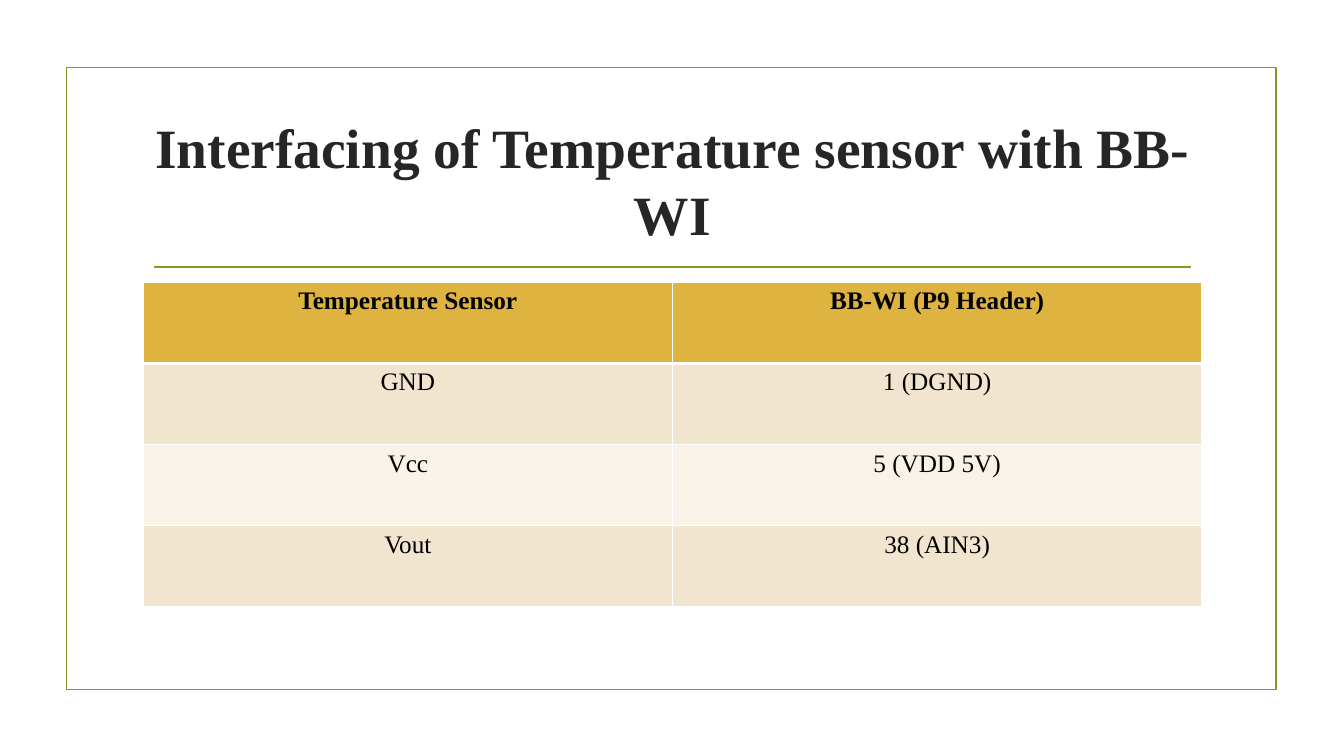
from lxml import etree
from pptx import Presentation
from pptx.dml.color import RGBColor
from pptx.enum.shapes import MSO_CONNECTOR, MSO_SHAPE
from pptx.enum.text import MSO_ANCHOR, PP_ALIGN
from pptx.oxml.ns import qn
from pptx.util import Inches, Pt

CENTER = PP_ALIGN.CENTER
MIDDLE = MSO_ANCHOR.MIDDLE
RECTANGLE = MSO_SHAPE.RECTANGLE
STRAIGHT = MSO_CONNECTOR.STRAIGHT

COLORS = {
    "olive": "83992A",
    "title": "262626",
    "text": "000000",
    "border": "FFFFFF",
    "header": "DEB340",
    "odd_row": "F2E5CF",
    "even_row": "F9F2E8",
}
FONT = "Times New Roman"
SLIDE_WIDTH, SLIDE_HEIGHT = 13.33, 7.5
CONTENT_LEFT, CONTENT_WIDTH = 1.42, 10.5
ROW_HEIGHT = 0.805
PIN_ROWS = [
    ("Temperature Sensor", "BB-WI (P9 Header)"),
    ("GND", "1 (DGND)"),
    ("Vcc", "5 (VDD 5V)"),
    ("Vout", "38 (AIN3)"),
]


def color(name):
    return RGBColor.from_string(COLORS[name])


def write_text(text_frame, text, size, color_name="text", bold=False):
    paragraph = text_frame.paragraphs[0]
    paragraph.alignment = CENTER
    run = paragraph.add_run()
    run.text = text
    run.font.name = FONT
    run.font.size = Pt(size)
    run.font.bold = bold
    run.font.color.rgb = color(color_name)


def style_line(line):
    line.color.rgb = color("olive")
    line.width = Pt(1.25)


def add_frame(slide, left, top, width, height):
    frame = slide.shapes.add_shape(
        RECTANGLE, Inches(left), Inches(top), Inches(width), Inches(height))
    frame.shadow.inherit = False
    frame.fill.background()
    style_line(frame.line)


def add_rule(slide, left, right, top):
    rule = slide.shapes.add_connector(
        STRAIGHT, Inches(left), Inches(top), Inches(right), Inches(top))
    style_line(rule.line)
    etree.SubElement(rule.element.spPr, qn("a:effectLst"))


def add_title(slide, text, top, height):
    box = slide.shapes.add_textbox(
        Inches(CONTENT_LEFT), Inches(top), Inches(CONTENT_WIDTH), Inches(height))
    box.text_frame.word_wrap = True
    box.text_frame.vertical_anchor = MIDDLE
    write_text(box.text_frame, text, 39.6, "title", bold=True)


def set_borders(cell, bottom_width, top_width):
    """Draw white cell borders; they must precede the fill in the XML."""
    properties = cell._tc.get_or_add_tcPr()
    widths = {"a:lnL": 1, "a:lnR": 1, "a:lnT": top_width, "a:lnB": bottom_width}
    for position, (tag, width) in enumerate(widths.items()):
        border = etree.Element(qn(tag), w=str(Pt(width)))
        fill = etree.SubElement(border, qn("a:solidFill"))
        etree.SubElement(fill, qn("a:srgbClr"), val=COLORS["border"])
        properties.insert(position, border)


def add_pin_table(slide, rows, top):
    column_count = len(rows[0])
    table = slide.shapes.add_table(
        len(rows), column_count, Inches(CONTENT_LEFT), Inches(top),
        Inches(CONTENT_WIDTH), Inches(ROW_HEIGHT * len(rows))).table
    for row_index, row in enumerate(rows):
        is_header = row_index == 0
        fill_name = "header" if is_header else ("even_row", "odd_row")[row_index % 2]
        for column_index, text in enumerate(row):
            cell = table.cell(row_index, column_index)
            cell.fill.solid()
            cell.fill.fore_color.rgb = color(fill_name)
            set_borders(cell, bottom_width=3 if is_header else 1,
                        top_width=3 if row_index == 1 else 1)
            write_text(cell.text_frame, text, 18, bold=is_header)


def main():
    presentation = Presentation()
    presentation.slide_width = Inches(SLIDE_WIDTH)
    presentation.slide_height = Inches(SLIDE_HEIGHT)
    slide = presentation.slides.add_slide(presentation.slide_layouts[6])

    # Border and title rule
    add_frame(slide, 0.66, 0.67, 12, 6.17)
    add_rule(slide, 1.53, 11.81, 2.65)

    # Title and wiring table
    add_title(slide, "Interfacing of Temperature sensor with BB-WI", 1.07, 1.43)
    add_pin_table(slide, PIN_ROWS, 2.8)

    presentation.save("out.pptx")


if __name__ == "__main__":
    main()
